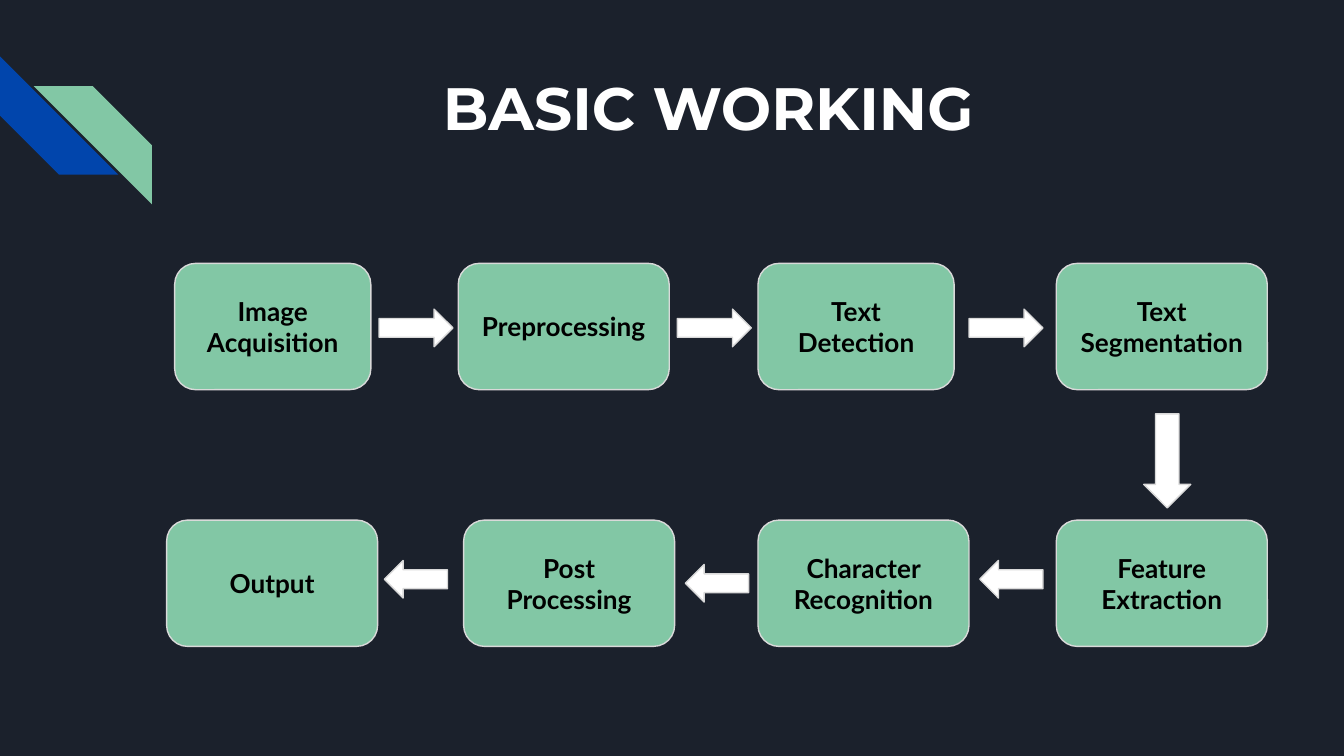
from dataclasses import dataclass

from pptx import Presentation
from pptx.dml.color import RGBColor
from pptx.enum.shapes import MSO_SHAPE
from pptx.enum.text import MSO_ANCHOR, MSO_AUTO_SIZE, PP_ALIGN
from pptx.shapes.autoshape import Shape
from pptx.slide import Slide
from pptx.text.text import TextFrame
from pptx.util import Inches, Pt


@dataclass(frozen=True)
class Theme:
    background: str = "1B212C"
    blue: str = "0145AC"
    green: str = "82C7A5"
    white: str = "FFFFFF"
    black: str = "000000"
    outline: str = "D9D9D9"
    outline_width: float = 0.75
    title_font: str = "Montserrat"
    title_size: int = 32
    step_font: str = "Lato"
    step_size: int = 14


@dataclass(frozen=True)
class Step:
    label: str
    left: float
    top: float
    width: float


@dataclass(frozen=True)
class Arrow:
    preset: MSO_SHAPE
    left: float
    top: float
    width: float
    height: float


THEME = Theme()
SLIDE_WIDTH = 10
TOP_ROW, BOTTOM_ROW = 1.96, 3.87
NARROW, WIDE = 1.46, 1.57
STEP_HEIGHT = 0.94
STRIPE_SIZE = 0.88
ARROW_TOP, ARROW_THICKNESS = 2.3, 0.28
FORWARD, BACK = 0.55, 0.47

STEPS = [
    Step("Image Acquisition", 1.3, TOP_ROW, NARROW),
    Step("Preprocessing", 3.41, TOP_ROW, WIDE),
    Step("Text Detection", 5.64, TOP_ROW, NARROW),
    Step("Text Segmentation", 7.86, TOP_ROW, WIDE),
    Step("Feature Extraction", 7.86, BOTTOM_ROW, WIDE),
    Step("Character Recognition", 5.64, BOTTOM_ROW, WIDE),
    Step("Post Processing", 3.45, BOTTOM_ROW, WIDE),
    Step("Output", 1.24, BOTTOM_ROW, WIDE),
]

ARROWS = [
    *(Arrow(MSO_SHAPE.RIGHT_ARROW, left, ARROW_TOP, FORWARD, ARROW_THICKNESS)
      for left in (2.82, 5.04, 7.21)),
    Arrow(MSO_SHAPE.DOWN_ARROW, 8.51, 3.08, 0.35, 0.7),
    *(Arrow(MSO_SHAPE.LEFT_ARROW, left, top, BACK, ARROW_THICKNESS)
      for left, top in ((7.29, 4.17), (5.1, 4.2), (2.86, 4.17))),
]


def add_filled(slide: Slide, preset: MSO_SHAPE, left: float, top: float,
               width: float, height: float, fill: str,
               outlined: bool = True) -> Shape:
    shape = slide.shapes.add_shape(
        preset, Inches(left), Inches(top), Inches(width), Inches(height))
    shape.shadow.inherit = False
    shape.fill.solid()
    shape.fill.fore_color.rgb = RGBColor.from_string(fill)
    if outlined:
        shape.line.color.rgb = RGBColor.from_string(THEME.outline)
        shape.line.width = Pt(THEME.outline_width)
    else:
        shape.line.fill.background()
    return shape


def write_text(frame: TextFrame, text: str, font_name: str, size: int,
               color: str, anchor: MSO_ANCHOR) -> None:
    inset = Inches(0.1)
    frame_format = {
        "word_wrap": True, "auto_size": MSO_AUTO_SIZE.NONE,
        "vertical_anchor": anchor, "margin_left": inset,
        "margin_right": inset, "margin_top": inset, "margin_bottom": inset,
    }
    for name, value in frame_format.items():
        setattr(frame, name, value)
    paragraph = frame.paragraphs[0]
    paragraph.alignment = PP_ALIGN.CENTER
    run = paragraph.add_run()
    run.text = text
    font_format = {"name": font_name, "size": Pt(size), "bold": True}
    for name, value in font_format.items():
        setattr(run.font, name, value)
    run.font.color.rgb = RGBColor.from_string(color)


def add_corner_stripes(slide: Slide) -> None:
    blue_stripe = add_filled(slide, MSO_SHAPE.DIAGONAL_STRIPE, 0, 0.42,
                             STRIPE_SIZE, STRIPE_SIZE, THEME.blue, False)
    blue_stripe.rotation = 270
    green_stripe = add_filled(slide, MSO_SHAPE.DIAGONAL_STRIPE, 0.25, 0.64,
                              STRIPE_SIZE, STRIPE_SIZE, THEME.green, False)
    green_stripe._element.spPr.xfrm.set("flipH", "1")


def add_title(slide: Slide, text: str) -> None:
    title = slide.shapes.title
    title_box = {"left": 1.42, "top": 0.43, "width": 7.7, "height": 1}
    for name, value in title_box.items():
        setattr(title, name, Inches(value))
    write_text(title.text_frame, text, THEME.title_font, THEME.title_size,
               THEME.white, MSO_ANCHOR.TOP)


def add_step(slide: Slide, step: Step) -> None:
    box = add_filled(slide, MSO_SHAPE.ROUNDED_RECTANGLE, step.left, step.top,
                     step.width, STEP_HEIGHT, THEME.green)
    write_text(box.text_frame, step.label, THEME.step_font, THEME.step_size,
               THEME.black, MSO_ANCHOR.MIDDLE)


def add_arrow(slide: Slide, arrow: Arrow) -> None:
    add_filled(slide, arrow.preset, arrow.left, arrow.top, arrow.width,
               arrow.height, THEME.white)


def main() -> None:
    # Widescreen 16:9 page
    presentation = Presentation()
    presentation.slide_width = Inches(SLIDE_WIDTH)
    presentation.slide_height = Inches(SLIDE_WIDTH * 9 / 16)
    slide = presentation.slides.add_slide(presentation.slide_layouts[5])
    slide.background.fill.solid()
    slide.background.fill.fore_color.rgb = RGBColor.from_string(THEME.background)

    # Corner decoration and heading
    add_corner_stripes(slide)
    add_title(slide, "BASIC WORKING")

    # Process steps, then the arrows between them
    for step in STEPS:
        add_step(slide, step)
    for arrow in ARROWS:
        add_arrow(slide, arrow)

    presentation.save("out.pptx")


if __name__ == "__main__":
    main()
